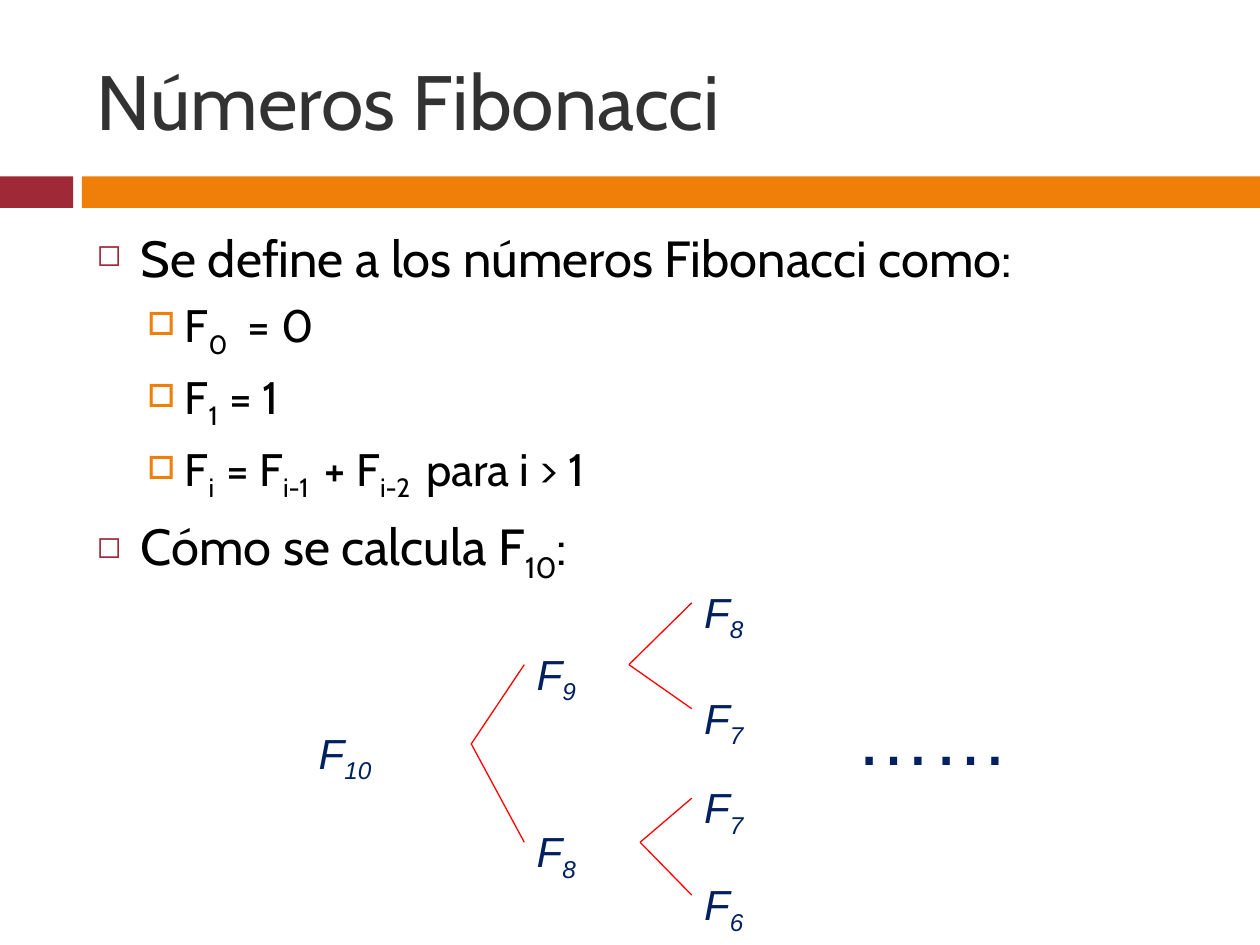
from lxml import etree
from pptx import Presentation
from pptx.dml.color import RGBColor
from pptx.enum.shapes import MSO_CONNECTOR, MSO_SHAPE
from pptx.enum.text import MSO_ANCHOR, PP_ALIGN
from pptx.oxml.ns import qn
from pptx.util import Pt

STRAIGHT = MSO_CONNECTOR.STRAIGHT
RECTANGLE = MSO_SHAPE.RECTANGLE
MIDDLE, TOP = MSO_ANCHOR.MIDDLE, MSO_ANCHOR.TOP
LEFT = PP_ALIGN.LEFT

COLORS = {
    "title": "323232",
    "body": "000000",
    "red": "9F2936",
    "orange": "F07F09",
    "navy": "002060",
    "branch": "FF0000",
}
LEVELS = [
    {"size": 29, "indent": 25.2, "hang": 25.2, "before": 7,
     "bullet": "◻", "color": "red", "scale": 60},
    {"size": 26, "indent": 50.4, "hang": 21.6, "before": 5.5,
     "bullet": "□", "color": "orange", "scale": 70},
]
DEFINITION = [
    (0, "Se define a los números Fibonacci como:"),
    (1, "F|0|  = 0"),
    (1, "F|1  |= 1"),
    (1, "F|i  |= F|i-1 | + F|i-2 | para i > 1"),
    (0, "Cómo se calcula F|10|:"),
]
CALLS = {
    "root": ("F|10", 0, 80.6, 94.3, ["first", "second"]),
    "first": ("F|9", 124.6, 35.3, 59.8, ["first_a", "first_b"]),
    "second": ("F|8", 124.6, 136.8, 66.2, ["second_a", "second_b"]),
    "first_a": ("F|8", 220.3, 0, 77.8, []),
    "first_b": ("F|7", 220.3, 60.5, 77.8, []),
    "second_a": ("F|7", 220.3, 111.6, 72, []),
    "second_b": ("F|6", 220.3, 167, 59.8, []),
}
LABEL_HEIGHT = 31


def color(name):
    """Return the named colour."""
    return RGBColor.from_string(COLORS[name])


def apply_format(target, values):
    """Set every attribute in the dict on the target."""
    for name, value in values.items():
        setattr(target, name, value)


def add_runs(paragraph, text, color_name, font_values):
    """Write text whose every second part between bars is a subscript."""
    for index, part in enumerate(text.split("|")):
        if part:
            run = paragraph.add_run()
            run.text = part
            apply_format(run.font, font_values)
            run.font.color.rgb = color(color_name)
            if index % 2:
                run.font._element.set("baseline", "-25000")


def add_text_box(slide, box, top_inset=3.6):
    """Add an empty wrapping text box and return its frame."""
    frame = slide.shapes.add_textbox(*map(Pt, box)).text_frame
    apply_format(frame, {"word_wrap": True, "vertical_anchor": TOP,
                         "margin_top": Pt(top_inset)})
    return frame


def set_bullet(paragraph, level):
    """Give the paragraph the hanging bullet of its level."""
    properties = paragraph._p.get_or_add_pPr()
    properties.set("marL", str(Pt(level["indent"])))
    properties.set("indent", str(-Pt(level["hang"])))
    bullet_color = etree.SubElement(properties, qn("a:buClr"))
    etree.SubElement(bullet_color, qn("a:srgbClr"), val=COLORS[level["color"]])
    etree.SubElement(properties, qn("a:buSzPct"), val=str(level["scale"] * 1000))
    etree.SubElement(properties, qn("a:buChar"), char=level["bullet"])


def add_title(slide, box, text):
    """Move and format the title placeholder."""
    title = slide.shapes.title
    apply_format(title, dict(zip(("left", "top", "width", "height"), map(Pt, box))))
    title.text_frame.vertical_anchor = MIDDLE
    paragraph = title.text_frame.paragraphs[0]
    paragraph.alignment = LEFT
    add_runs(paragraph, text, "title", {"name": "Cabin", "size": Pt(44)})


def add_band(slide, box):
    """Draw the red block and the orange bar across the box."""
    left, top, width, height = box
    block, bar_start = 41.8, 46.8
    parts = [(left, block, "red"), (left + bar_start, width - bar_start, "orange")]
    for part_left, part_width, name in parts:
        bar = slide.shapes.add_shape(
            RECTANGLE, Pt(part_left), Pt(top), Pt(part_width), Pt(height))
        bar.shadow.inherit = False
        bar.fill.solid()
        bar.fill.fore_color.rgb = color(name)
        bar.line.fill.background()


def add_definition(slide, box):
    """Write the bulleted definition."""
    frame = add_text_box(slide, box)
    for index, (depth, text) in enumerate(DEFINITION):
        paragraph = frame.add_paragraph() if index else frame.paragraphs[0]
        level = LEVELS[depth]
        apply_format(paragraph, {"level": depth, "space_before": Pt(level["before"])})
        set_bullet(paragraph, level)
        add_runs(paragraph, text, "body", {"name": "Cabin", "size": Pt(level["size"])})


def add_branch(slide, start, end):
    """Draw a thin line between two points."""
    line = slide.shapes.add_connector(STRAIGHT, *map(Pt, (*start, *end)))
    line.line.color.rgb = color("branch")
    line.line.width = Pt(0.75)
    etree.SubElement(line._element.spPr, qn("a:effectLst"))


def add_call_tree(slide, box):
    """Draw the tree of calls, joining each label to its children."""
    left, top, _, _ = box
    middle = top + LABEL_HEIGHT / 2
    font = {"name": "Arial", "size": Pt(24), "italic": True}
    for text, x, y, width, children in CALLS.values():
        frame = add_text_box(slide, (left + x, top + y, width, LABEL_HEIGHT), 6)
        add_runs(frame.paragraphs[0], text, "navy", font)
        for child in children:
            _, child_x, child_y, _, _ = CALLS[child]
            add_branch(slide, (left + x + width, middle + y),
                       (left + child_x, middle + child_y))


def add_continuation(slide, box):
    """Write the dots that show the tree goes on."""
    frame = add_text_box(slide, box, 7.4)
    add_runs(frame.paragraphs[0], "……", "navy", {"name": "Arial", "size": Pt(44)})


def main():
    """Build and save the slide."""
    presentation = Presentation()
    apply_format(presentation, {"slide_width": Pt(720), "slide_height": Pt(540)})
    slide = presentation.slides.add_slide(presentation.slide_layouts[5])
    add_band(slide, (0, 100.8, 720, 18))
    add_title(slide, (48.2, 18, 642.2, 77.8), "Números Fibonacci")
    add_definition(slide, (48.2, 126, 642.2, 354))
    add_call_tree(slide, (175, 329, 298, 198))
    add_continuation(slide, (481.7, 386, 162, 59.8))
    presentation.save("out.pptx")


if __name__ == "__main__":
    main()
